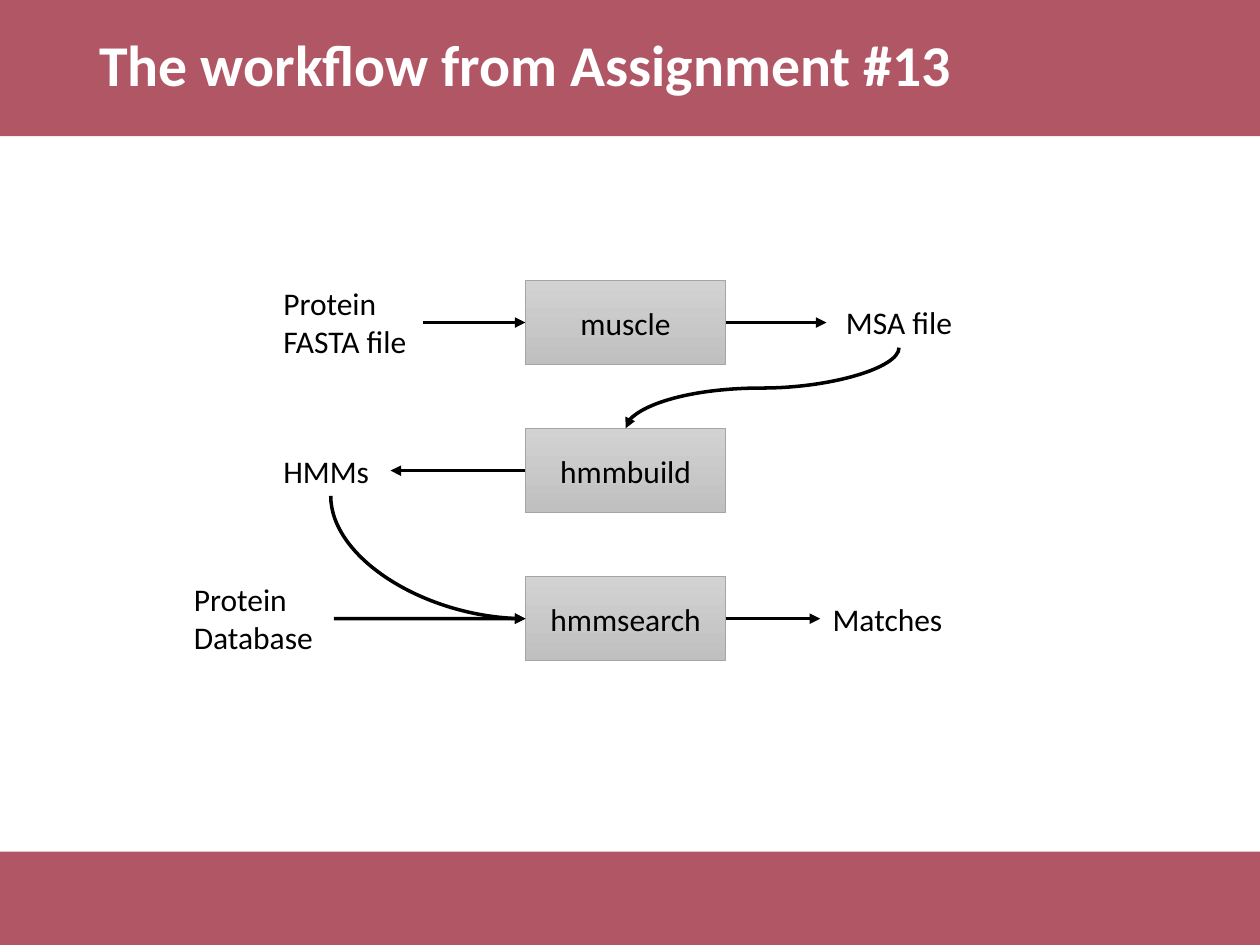
from lxml.etree import SubElement
from pptx import Presentation
from pptx.dml.color import RGBColor
from pptx.enum.shapes import MSO_CONNECTOR as Link, MSO_SHAPE as Form
from pptx.enum.text import MSO_ANCHOR as Anchor, MSO_AUTO_SIZE as Fit, PP_ALIGN as Align
from pptx.oxml.ns import qn
from pptx.util import Inches, Pt

# Content
TITLE = "The workflow from Assignment #13"
STEPS = ["muscle", "hmmbuild", "hmmsearch"]
# text, row, left, width, lines, alignment
NOTES = [
    ("Protein FASTA file", 0, 2.15, 1.21, 2, Align.LEFT),
    ("MSA file", 0, 6.56, 1.15, 1, Align.CENTER),
    ("HMMs", 1, 2.15, 0.95, 1, Align.LEFT),
    ("Protein Database", 2, 1.44, 1.21, 2, Align.LEFT),
    ("Matches", 2, 6.51, 1.53, 1, Align.LEFT),
]
TOP, LEFT, BOTTOM, RIGHT = range(4)
# from, side, to, side, turn (preset, rotation, flips)
LINKS = [
    ("Protein FASTA file", RIGHT, "muscle", LEFT, None),
    ("muscle", RIGHT, "MSA file", LEFT, None),
    ("MSA file", BOTTOM, "hmmbuild", TOP, ("curvedConnector3", 90, {})),
    ("hmmbuild", LEFT, "HMMs", RIGHT, None),
    ("HMMs", BOTTOM, "hmmsearch", LEFT, ("curvedConnector2", 270, {"flipH": "1"})),
    ("Protein Database", RIGHT, "hmmsearch", LEFT, None),
    ("hmmsearch", RIGHT, "Matches", LEFT, None),
]
COLORS = {"band": "981E32", "title": "FFFFFF", "ink": "000000",
          "light": "D2D2D2", "dark": "C0C0C0", "edge": "A5A5A5"}

# Grid
WIDE, HIGH = 10, 7.5
HEAD, FOOT = 1.08, 0.74
ROW, PITCH = 2.56, 1.175
BOX_X, BOX_W, BOX_H = 4.17, 1.59, 0.67
TALL = {1: 0.4, 2: 0.71}

deck = Presentation()
deck.slide_width, deck.slide_height = Inches(WIDE), Inches(HIGH)
slide = deck.slides.add_slide(deck.slide_layouts[6])
shapes = slide.shapes


def color(name):
    return RGBColor.from_string(COLORS[name])


def area(x, y, w, h):
    return [Inches(v) for v in (x, y, w, h)]


def in_row(row, x, w, h):
    return area(x, ROW + row * PITCH - h / 2, w, h)


def rect(place):
    shape = shapes.add_shape(Form.RECTANGLE, *place)
    shape.shadow.inherit = False
    return shape


def write(shape, text, size=18, ink="ink", align=Align.LEFT, anchor=Anchor.MIDDLE):
    frame = shape.text_frame
    frame.word_wrap = True
    frame.vertical_anchor = anchor
    par = frame.paragraphs[0]
    par.text, par.alignment = text, align
    par.font.name, par.font.size = "Calibri", Pt(size)
    par.font.color.rgb = color(ink)
    return par


# Bands and title
for y, h in ((HIGH - FOOT, FOOT), (0, HEAD)):
    band = rect(area(0, y, WIDE, h))
    band.fill.solid()
    band.fill.fore_color.rgb = color("band")
    tint = band._element.spPr.find(".//" + qn("a:srgbClr"))
    SubElement(tint, qn("a:alpha"), val="75000")
    band.line.fill.background()

head = shapes.add_textbox(*area(0.69, 0, 8.62, HEAD))
par = write(head, TITLE, 33, "title")
par.font.bold = True
par.line_spacing = 0.9

# Program boxes
nodes = {}
for row, name in enumerate(STEPS):
    box = nodes[name] = rect(in_row(row, BOX_X, BOX_W, BOX_H))
    box.fill.gradient()
    box.fill.gradient_angle = 270
    for stop, shade in zip(box.fill.gradient_stops, ("light", "dark")):
        stop.color.rgb = color(shade)
    box.line.color.rgb = color("edge")
    box.line.width = Pt(0.5)
    write(box, name, align=Align.CENTER)

# Data labels
for text, row, x, w, lines, align in NOTES:
    note = nodes[text] = shapes.add_textbox(*in_row(row, x, w, TALL[lines]))
    write(note, text, align=align, anchor=Anchor.TOP)
    note.text_frame.auto_size = Fit.SHAPE_TO_FIT_TEXT


def bend(link, preset, angle, flips):
    """Turn a curve so that it leaves its start downwards."""
    mid_x = (link.begin_x + link.end_x) // 2
    mid_y = (link.begin_y + link.end_y) // 2
    w, h = link.height, link.width
    link.left, link.top = mid_x - w // 2, mid_y - h // 2
    link.width, link.height = w, h
    props = link._element.spPr
    frame = props.find(qn("a:xfrm"))
    for key in ("flipH", "flipV"):
        frame.attrib.pop(key, None)
    frame.set("rot", str(angle * 60000))
    for key, value in flips.items():
        frame.set(key, value)
    props.find(qn("a:prstGeom")).set("prst", preset)


# Arrows
for start, out, end, into, turn in LINKS:
    link = shapes.add_connector(Link.CURVE, 0, 0, 0, 0)
    link.begin_connect(nodes[start], out)
    link.end_connect(nodes[end], into)
    link.line.color.rgb = color("ink")
    link.line.width = Pt(2)
    SubElement(link.line._get_or_add_ln(), qn("a:tailEnd"), type="triangle")
    SubElement(link._element.spPr, qn("a:effectLst"))
    if turn:
        bend(link, *turn)

deck.save("out.pptx")
